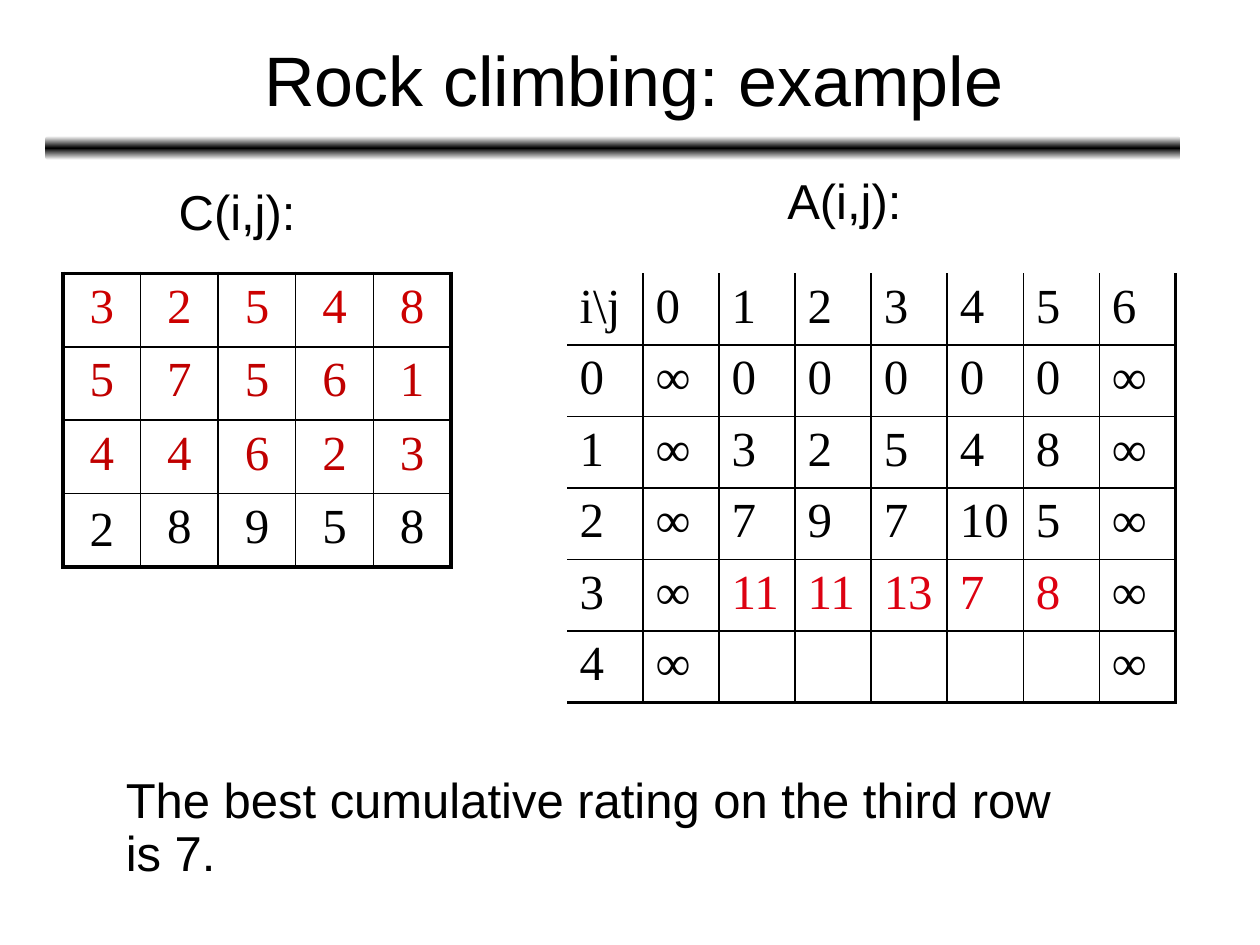
import copy

import pptx
import pptx.dml.color
import pptx.enum.shapes
import pptx.enum.text
import pptx.oxml
import pptx.oxml.ns
import pptx.util

RGBColor = pptx.dml.color.RGBColor
BLACK = RGBColor(0x00, 0x00, 0x00)
WHITE = RGBColor(0xFF, 0xFF, 0xFF)
BRIGHT_RED = RGBColor(0xCC, 0x00, 0x00)
DARK_RED = RGBColor(0xC0, 0x00, 0x00)
ROW_RED = RGBColor(0xDD, 0x01, 0x11)

ALIGN = pptx.enum.text.PP_ALIGN
ANCHOR = pptx.enum.text.MSO_ANCHOR
GRID_COLUMNS, GRID_ROWS = 100, 75
UNIT = pptx.util.Inches(0.1)
INNER_WIDTH, OUTER_WIDTH = 1, 2.25

COSTS = [
    "3 2 5 4 8",
    "5 7 5 6 1",
    "4 4 6 2 3",
    "2 8 9 5 8",
]
RATINGS = [
    "i\\j 0 1 2 3 4 5 6",
    "0 ∞ 0 0 0 0 0 ∞",
    "1 ∞ 3 2 5 4 8 ∞",
    "2 ∞ 7 9 7 10 5 ∞",
    "3 ∞ 11 11 13 7 8 ∞",
    "4 ∞ - - - - - ∞",
]


def place(box):
    return [round(length * UNIT) for length in box]


def style(paragraph, font_name, size, colour, align):
    paragraph.alignment = align
    paragraph.font.name = font_name
    paragraph.font.size = pptx.util.Pt(size)
    paragraph.font.color.rgb = colour


def add_text(slide, box, text, size=28, align=ALIGN.LEFT, anchor=ANCHOR.TOP, wrap=True, spacing=0.9):
    frame = slide.shapes.add_textbox(*place(box)).text_frame
    frame.word_wrap = wrap
    frame.vertical_anchor = anchor
    paragraph = frame.paragraphs[0]
    paragraph.text = text
    paragraph.line_spacing = spacing
    style(paragraph, "Arial", size, BLACK, align)


def add_rule(slide, box):
    shape = slide.shapes.add_shape(pptx.enum.shapes.MSO_SHAPE.ROUNDED_RECTANGLE, *place(box))
    shape.shadow.inherit = False
    shape.line.fill.background()
    shape.fill.gradient()
    shape.fill.gradient_angle = 90
    stop_list = next(shape.element.iter(pptx.oxml.ns.qn("a:gsLst")))
    stop_list.append(copy.deepcopy(stop_list[0]))
    for stop, position, colour in zip(shape.fill.gradient_stops, (0, 0.5, 1), (WHITE, BLACK, WHITE)):
        stop.position = position
        stop.color.rgb = colour


def set_border(cell, side, width):
    fill = f'<a:solidFill><a:srgbClr val="{BLACK}"/></a:solidFill>' if width else "<a:noFill/>"
    cell._tc.get_or_add_tcPr().append(pptx.oxml.parse_xml(
        f'<a:ln{side} {pptx.oxml.ns.nsdecls("a")} w="{pptx.util.Pt(width)}">{fill}</a:ln{side}>'))


def add_matrix(slide, box, lines, colours, align=ALIGN.LEFT, open_sides=()):
    values = [line.split() for line in lines]
    row_count, column_count = len(values), len(values[0])
    left, top, width, height = place(box)
    table = slide.shapes.add_table(row_count, column_count, left, top, width, height).table
    table.first_row = table.horz_banding = False
    for row_index, row in enumerate(values):
        for column_index, value in enumerate(row):
            cell = table.cell(row_index, column_index)
            edges = {
                "L": column_index == 0,
                "R": column_index == column_count - 1,
                "T": row_index == 0,
                "B": row_index == row_count - 1,
            }
            for side, is_outer in edges.items():
                outer = 0 if side in open_sides else OUTER_WIDTH
                set_border(cell, side, outer if is_outer else INNER_WIDTH)
            cell.fill.background()
            if value != "-":
                paragraph = cell.text_frame.paragraphs[0]
                paragraph.text = value
                colour = colours.get((row_index, column_index), BLACK)
                style(paragraph, "Times New Roman", 28, colour, align)
    return table


def add_header(slide, box):
    left, top, width, height = box
    add_rule(slide, (left, top + height - 1.9, width, 1.9))
    add_text(slide, (left + 4.2, top, 85, 12.5), "Rock climbing: example", 40,
             ALIGN.CENTER, ANCHOR.MIDDLE, spacing=1)


def add_costs(slide, box):
    left, top, width, height = box
    add_text(slide, (left + 8.2, top, 11.4, 5.2), "C(i,j):", wrap=False)
    row_colours = (BRIGHT_RED, DARK_RED, DARK_RED)
    colours = {(row, column): colour for row, colour in enumerate(row_colours) for column in range(5)}
    table = add_matrix(slide, (left, top + 7.3, width, height - 7.3), COSTS, colours, ALIGN.CENTER)
    table.cell(3, 0).vertical_anchor = ANCHOR.MIDDLE


def add_ratings(slide, box):
    left, top, width, height = box
    add_text(slide, (left + 16.5, top, 11.6, 5.2), "A(i,j):", wrap=False)
    colours = {(4, column): ROW_RED for column in range(2, 7)}
    add_matrix(slide, (left, top + 8.1, width, height - 8.1), RATINGS, colours, open_sides="LT")


def main():
    presentation = pptx.Presentation()
    presentation.slide_width = GRID_COLUMNS * UNIT
    presentation.slide_height = GRID_ROWS * UNIT
    slide = presentation.slides.add_slide(presentation.slide_layouts[6])
    add_header(slide, (3.6, 0, 90.1, 12.7))
    add_costs(slide, (5, 14.4, 30.8, 30.6))
    add_ratings(slide, (45, 13.6, 48.3, 42.1))
    add_text(slide, (9, 61.1, 76.9, 5.2), "The best cumulative rating on the third row is 7.")
    presentation.save("out.pptx")


if __name__ == "__main__":
    main()
